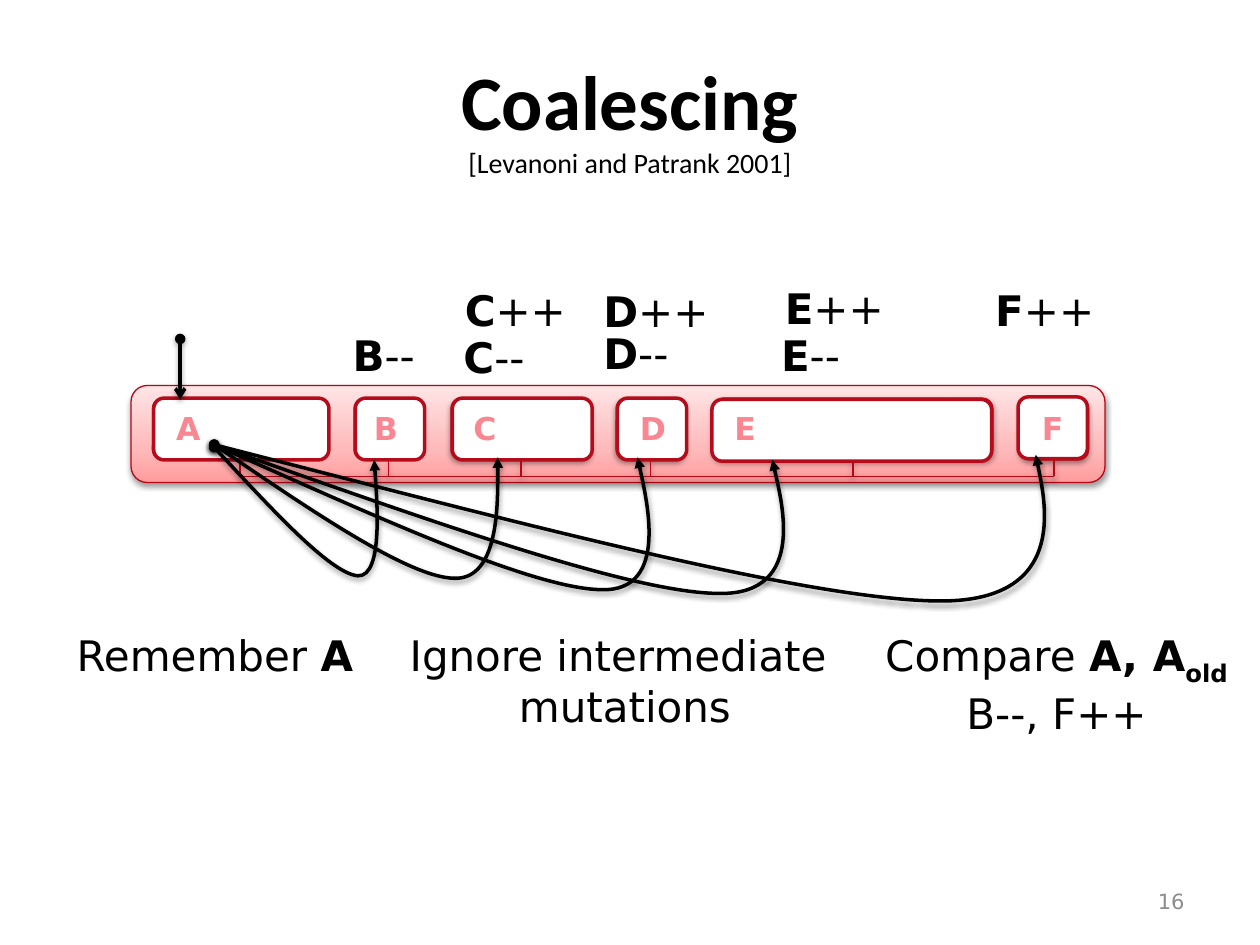
import lxml.etree
import pptx
import pptx.dml.color
import pptx.enum.shapes
import pptx.enum.text
import pptx.oxml.ns
import pptx.util

COLORS = {
    "text": "000000", "letter": "F88792", "page": "8C8C8C", "white": "FFFFFF",
    "heap_line": "B50717", "object_line": "B50B1B",
    "heap_low": "FF9C9D", "heap_mid": "FEBABB", "heap_high": "FFE4E5",
}
HEAP_STOPS = ((0, "heap_low"), (35, "heap_mid"), (100, "heap_high"))
ALIGN = pptx.enum.text.PP_ALIGN
ANCHOR = pptx.enum.text.MSO_ANCHOR
SHAPE = pptx.enum.shapes.MSO_SHAPE
COLUMNS, ROWS = 100, 75  # square cells of a tenth of an inch

# letter, heap slot left, object left, object top, width, letter left
OBJECTS = (
    ("A", 12.1, 12.2, 31.6, 13.9, 13.0),
    ("B", 28.1, 28.2, 31.6, 5.5, 28.7),
    ("C", 35.8, 35.9, 31.6, 11.1, 36.6),
    ("D", 48.9, 49.0, 31.6, 5.5, 49.8),
    ("E", 56.6, 56.5, 31.7, 22.2, 57.3),
    ("F", 80.9, 80.8, 31.5, 5.5, 81.7),
)
SLOT_TOP, SLOT_HEIGHT, RAIL_Y = 31.6, 4.9, 37.8
UNSHADED_SLOTS = "AB"

COUNTS = (
    ("B", "--", 27, 25.7), ("C", "++", 35.9, 22.1), ("C", "--", 35.8, 25.8),
    ("D", "++", 46.9, 22.2), ("D", "--", 46.9, 25.5), ("E", "++", 61.3, 21.9),
    ("E", "--", 61, 25.7), ("F", "++", 78, 22.1),
)

# start, then control, control and end point of each Bezier segment
POINTERS = (
    ((17, 35.5), (21.3, 40.1), (26.2, 45.5), (28.4, 45.7), (30.5, 45.8), (29.7, 36.5), (29.7, 36.5)),
    ((17, 35.3), (24.1, 40.1), (32.3, 45.8), (36, 45.9), (39.8, 46.1), (39.5, 36.3), (39.5, 36.3)),
    ((17, 35.3), (29, 40.6), (42.1, 46.7), (47.7, 46.8), (53.3, 47), (50.6, 36.3), (50.6, 36.3)),
    ((17, 35.3), (32.6, 40.8), (50, 47.1), (57.1, 47.1), (64.2, 47.2), (61.3, 36.5), (61.3, 36.5)),
    ((17, 35.3), (39.6, 41.1), (64.2, 47.7), (74.7, 47.7), (85.2, 47.7), (82.2, 36.1), (82.2, 36.1)),
)


def cells(*counts):
    return [pptx.util.Inches(round(count / 10, 3)) for count in counts]


def rgb(name):
    return pptx.dml.color.RGBColor.from_string(COLORS[name])


def child(parent, tag, **attributes):
    element = lxml.etree.SubElement(parent, pptx.oxml.ns.qn(tag))
    for key, value in attributes.items():
        element.set(key, str(value))
    return element


def style_line(figure, color, width):
    figure.line.color.rgb = rgb(color)
    figure.line.width = pptx.util.Pt(width)


def cast_shadow(effects):
    shadow = child(effects, "a:outerShdw", blurRad=40000, dist=20000,
                   dir=5400000, rotWithShape=0)
    child(child(shadow, "a:srgbClr", val=COLORS["text"]), "a:alpha", val=38000)


def fill_gradient(figure):
    figure.fill.background()
    properties = figure._element.spPr
    gradient = lxml.etree.Element(pptx.oxml.ns.qn("a:gradFill"), rotWithShape="1")
    stops = child(gradient, "a:gsLst")
    for percent, color in HEAP_STOPS:
        child(child(stops, "a:gs", pos=percent * 1000), "a:srgbClr", val=COLORS[color])
    child(gradient, "a:lin", ang=270 * 60000, scaled=0)
    properties.replace(properties.find(pptx.oxml.ns.qn("a:noFill")), gradient)


def add_box(shapes, left, top, width, height, line, weight, fill=None, shadow=False):
    """Rounded box, with the heap gradient unless a fill colour is named."""
    box = shapes.add_shape(SHAPE.ROUNDED_RECTANGLE, *cells(left, top, width, height))
    style_line(box, line, weight)
    if fill:
        box.fill.solid()
        box.fill.fore_color.rgb = rgb(fill)
    else:
        fill_gradient(box)
    box.shadow.inherit = False
    if shadow:
        cast_shadow(box._element.spPr.find(pptx.oxml.ns.qn("a:effectLst")))


def add_arrowheads(figure, tail):
    ends = figure.line._get_or_add_ln()
    child(ends, "a:headEnd", type="oval")
    child(ends, "a:tailEnd", type=tail)


def add_line(shapes, start, end, color, weight, tail=None):
    line = shapes.add_connector(pptx.enum.shapes.MSO_CONNECTOR.STRAIGHT,
                                *cells(*start, *end))
    style_line(line, color, weight)
    if tail:
        add_arrowheads(line, tail)
    cast_shadow(child(line._element.spPr, "a:effectLst"))


def add_pointer(shapes, points):
    """Curved arrow: an outline through the anchors, bent by its control points."""
    points = [cells(*point) for point in points]
    outline = shapes.build_freeform(*points[0], scale=1.0)
    outline.add_line_segments(points[3::3], close=False)
    pointer = outline.convert_to_shape()
    pointer.fill.background()
    style_line(pointer, "text", 2)
    add_arrowheads(pointer, "triangle")
    pointer.shadow.inherit = False
    properties = pointer._element.spPr
    cast_shadow(properties.find(pptx.oxml.ns.qn("a:effectLst")))
    segments = list(properties.iter(pptx.oxml.ns.qn("a:lnTo")))
    for number, segment in enumerate(segments):
        segment.tag = pptx.oxml.ns.qn("a:cubicBezTo")
        segment.clear()
        for x, y in points[3 * number + 1:3 * number + 4]:
            child(segment, "a:pt", x=x - pointer.left, y=y - pointer.top)


def add_text(shapes, place, paragraphs, size=24, color="text", font="DejaVu Sans",
             align=ALIGN.LEFT, anchor=ANCHOR.TOP, wrap=True):
    """Each paragraph is a list of (words, format); None stands for a line break."""
    frame = shapes.add_textbox(*cells(*place)).text_frame
    frame.word_wrap = wrap
    frame.vertical_anchor = anchor
    for number, runs in enumerate(paragraphs):
        paragraph = frame.add_paragraph() if number else frame.paragraphs[0]
        paragraph.alignment = align
        for piece in runs:
            if piece is None:
                paragraph.add_line_break()
                continue
            words, style = piece
            run = paragraph.add_run()
            run.text = words
            run.font.name = font
            run.font.size = pptx.util.Pt(style.get("size", size))
            run.font.bold = style.get("bold", False)
            run.font.color.rgb = rgb(color)
            if "baseline" in style:
                run._r.get_or_add_rPr().set("baseline", str(style["baseline"] * 1000))


def add_heap(shapes):
    heap = shapes.add_group_shape().shapes
    add_box(heap, 10.4, 30.6, 77.3, 7.7, "heap_line", 0.75, shadow=True)
    centers = []
    for letter, left, _, _, width, _ in OBJECTS:
        add_box(heap, left, SLOT_TOP, width, SLOT_HEIGHT, "heap_line", 0.75,
                shadow=letter not in UNSHADED_SLOTS)
        centers.append(left + width / 2)
    add_line(heap, (centers[0], RAIL_Y), (centers[-1], RAIL_Y), "heap_line", 0.75)
    for center in centers:
        add_line(heap, (center, RAIL_Y), (center, SLOT_TOP + SLOT_HEIGHT),
                 "heap_line", 0.75)


def main():
    deck = pptx.Presentation()
    deck.slide_width, deck.slide_height = cells(COLUMNS, ROWS)
    shapes = deck.slides.add_slide(deck.slide_layouts[6]).shapes
    bold = {"bold": True}

    add_text(shapes, (5, 3, 90, 12.5),
             [[("Coalescing", {"size": 44, "bold": True}), None,
               ("[Levanoni and Patrank 2001]", {"size": 16})]],
             font="Calibri", align=ALIGN.CENTER, anchor=ANCHOR.MIDDLE)
    add_heap(shapes)
    for _, _, left, top, width, _ in OBJECTS:
        add_box(shapes, left, top, width, SLOT_HEIGHT, "object_line", 2, fill="white")
    add_line(shapes, (14.3, 26.9), (14.3, 31.7), "text", 2, tail="arrow")
    for points in POINTERS:
        add_pointer(shapes, points)

    for letter, change, left, top in COUNTS:
        add_text(shapes, (left, top, 11.2, 5), [[(letter, bold), (change, {})]])
    add_text(shapes, (5.1, 49.5, 24.1, 5), [[("Remember ", {}), ("A", bold)]])
    add_text(shapes, (31.1, 49.5, 37, 9.1),
             [[("Ignore intermediate ", {})], [("mutations", {})]], align=ALIGN.CENTER)
    add_text(shapes, (68.9, 49.5, 29.9, 9.1),
             [[("Compare ", {}), ("A, A", bold), ("old", {"bold": True, "baseline": -25})],
              [("B--, F++", {})]], align=ALIGN.CENTER)
    add_text(shapes, (71.7, 69.5, 23.3, 4), [[("16", {})]], size=12, color="page",
             align=ALIGN.RIGHT, anchor=ANCHOR.MIDDLE)
    for letter, _, _, _, _, letter_left in OBJECTS:
        add_text(shapes, (letter_left, 32, 4, 4), [[(letter, bold)]], size=18,
                 color="letter", wrap=False)
    deck.save("out.pptx")


if __name__ == "__main__":
    main()
